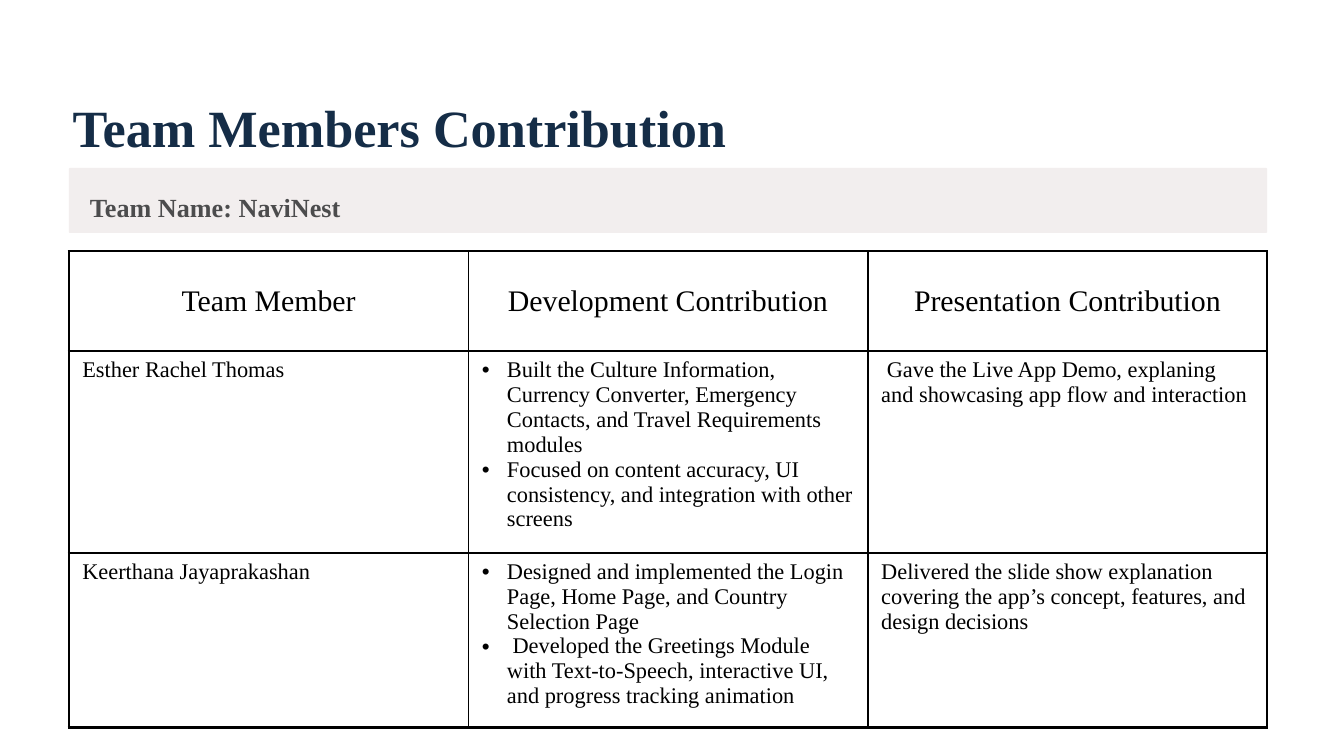
from lxml.etree import SubElement as Sub
from pptx import Presentation
from pptx.dml.color import RGBColor
from pptx.enum.shapes import MSO_SHAPE as Shape
from pptx.enum.text import MSO_ANCHOR as Anchor, PP_ALIGN as Align
from pptx.oxml.ns import qn
from pptx.util import Pt

FONT = "Times New Roman"
NAVY = RGBColor(0x15, 0x2D, 0x47)
GREY = RGBColor(0x4C, 0x4C, 0x4D)
PALE = RGBColor(0xF2, 0xEE, 0xEE)
BLACK = RGBColor(0, 0, 0)

LABELS = [
    ("Team Members Contribution", (38.9, 42.5, 469.4, 34.6), 28, NAVY),
    ("Team Name: NaviNest", (48.2, 98.6, 139.7, 17.3), 14, GREY),
]
HEAD = ["Team Member", "Development Contribution", "Presentation Contribution"]
ROWS = [
    ("Esther Rachel Thomas",
     ["Built the Culture Information, Currency Converter, Emergency Contacts, "
      "and Travel Requirements modules",
      "Focused on content accuracy, UI consistency, and integration with "
      "other screens"],
     " Gave the Live App Demo, explaning and showcasing app flow and interaction"),
    ("Keerthana Jayaprakashan",
     ["Designed and implemented the Login Page, Home Page, and Country "
      "Selection Page",
      " Developed the Greetings Module with Text-to-Speech, interactive UI, "
      "and progress tracking animation"],
     "Delivered the slide show explanation covering the app’s concept, "
     "features, and design decisions"),
]
LEFT, WIDE = 36.9, 642
BAND = (90, 34.8)
TOP, TALL = 134.6, 254.9
HIGH = [53.5, 54, 75.6]
COL_LINES = [1.5, 1, 1.5, 1.5]
ROW_LINES = [1.5, 1.5, 1, 1.5]


def write(para, text, size, color, bold=False):
    run = para.add_run()
    run.text = text
    font = run.font
    font.name, font.size, font.bold = FONT, Pt(size), bold
    font.color.rgb = color


def label(slide, text, place, size, color):
    frame = slide.shapes.add_textbox(*map(Pt, place)).text_frame
    frame.word_wrap = True
    frame.margin_left = frame.margin_right = 0
    frame.margin_top = frame.margin_bottom = 0
    para = frame.paragraphs[0]
    para.line_spacing = 1.25
    write(para, text, size, color, True)


def bullet(para):
    props = para._p.get_or_add_pPr()
    props.set("marL", str(Pt(13.5)))
    props.set("indent", str(-Pt(13.5)))
    tint = Sub(props, qn("a:buClr"))
    Sub(tint, qn("a:srgbClr"), val=str(BLACK))
    Sub(props, qn("a:buFont"), typeface="Arial")
    Sub(props, qn("a:buChar"), char="•")


def edges(cell, row, col):
    props = cell._tc.get_or_add_tcPr()
    sides = {"L": COL_LINES[col], "R": COL_LINES[col + 1],
             "T": ROW_LINES[row], "B": ROW_LINES[row + 1]}
    for side, width in sides.items():
        line = Sub(props, qn("a:ln" + side), w=str(Pt(width)))
        fill = Sub(line, qn("a:solidFill"))
        Sub(fill, qn("a:srgbClr"), val=str(BLACK))


def fill_cell(cell, body, head):
    items = body if isinstance(body, list) else [body]
    frame = cell.text_frame
    for i, text in enumerate(items):
        para = frame.add_paragraph() if i else frame.paragraphs[0]
        if items is body:
            bullet(para)
        if head:
            para.alignment = Align.CENTER
        write(para, text, 16 if head else 12, BLACK)
    cell.vertical_anchor = Anchor.MIDDLE if head else Anchor.TOP


def main():
    deck = Presentation()
    deck.slide_width, deck.slide_height = Pt(720), Pt(405)
    slide = deck.slides.add_slide(deck.slide_layouts[6])

    top, tall = BAND
    band = slide.shapes.add_shape(
        Shape.ROUNDED_RECTANGLE, Pt(LEFT), Pt(top), Pt(WIDE), Pt(tall))
    band.adjustments[0] = 0.02
    band.shadow.inherit = False
    band.fill.solid()
    band.fill.fore_color.rgb = PALE
    band.line.fill.background()
    for item in LABELS:
        label(slide, *item)

    grid = [HEAD, *ROWS]
    frame = slide.shapes.add_table(
        len(grid), len(HEAD), Pt(LEFT), Pt(TOP), Pt(WIDE), Pt(TALL))
    table = frame.table
    table.first_row = table.horz_banding = False
    for r, line in enumerate(grid):
        table.rows[r].height = Pt(HIGH[r])
        for c, body in enumerate(line):
            cell = table.cell(r, c)
            edges(cell, r, c)
            cell.fill.background()
            fill_cell(cell, body, r == 0)
    frame.height = Pt(TALL)
    deck.save("out.pptx")


if __name__ == "__main__":
    main()
